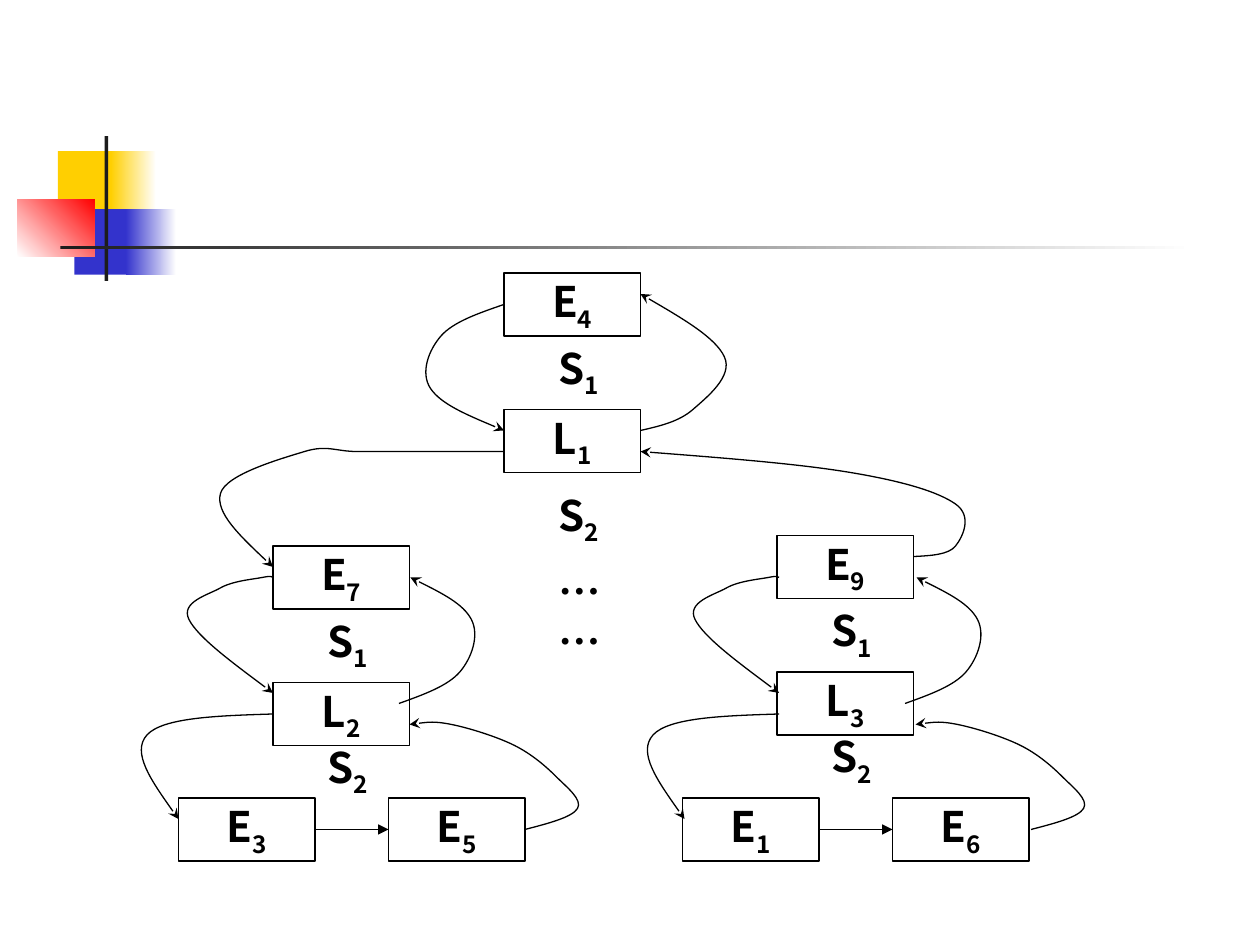
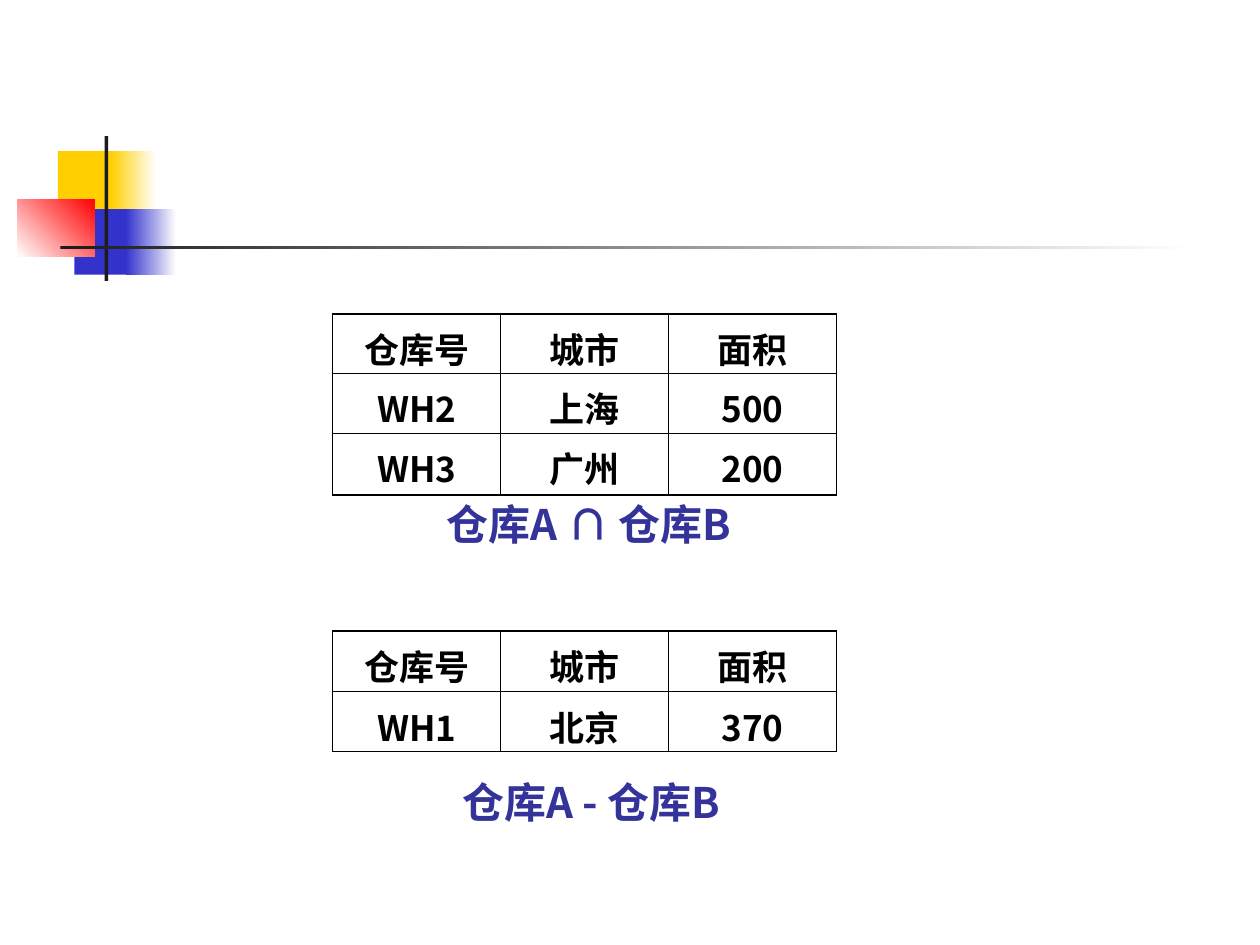
from lxml import etree
from pptx import Presentation
from pptx.dml.color import RGBColor
from pptx.enum.shapes import MSO_CONNECTOR as CONN, MSO_SHAPE as SHAPE
from pptx.enum.text import MSO_ANCHOR as ANCHOR, PP_ALIGN as ALIGN
from pptx.oxml.ns import qn
from pptx.util import Inches, Pt

rgb = RGBColor.from_string
U = Inches(1) // 12  # grid step: twelve to the inch
BLACK, WHITE, DARK, INDIGO = "000000", "FFFFFF", "1C1C1C", "333399"
YELLOW, BLUE, RED = "FFCF01", "3333CC", "FF0000"
SANS, SERIF = "Noto Sans CJK SC", "Times New Roman"


def write(tf, text, sub="", size=24, color=BLACK, font=SANS, align=ALIGN.CENTER):
    """Fill a text frame with one bold line, optionally ending in a subscript."""
    p = tf.paragraphs[0]
    p.alignment = align
    for part in filter(None, (text, sub)):
        r = p.add_run()
        r.text = part
        for key, value in {"name": font, "size": Pt(size), "bold": True}.items():
            setattr(r.font, key, value)
        r.font.color.rgb = rgb(color)
        rPr = r._r.get_or_add_rPr()
        etree.SubElement(rPr, qn("a:ea")).set("typeface", font)
        if part is sub:
            rPr.set("baseline", "-25000")


def outline(s, arrow=None):
    """Give a shape or connector a thin black line without shadow."""
    s.line.color.rgb = rgb(BLACK)
    s.line.width = Pt(0.75)
    if arrow:
        ln = s.element.xpath(".//a:ln")[0]
        etree.SubElement(ln, qn("a:tailEnd")).set("type", arrow)
    etree.SubElement(s.element.spPr, qn("a:effectLst"))


prs = Presentation()
prs.slide_width, prs.slide_height = Inches(10), Inches(7.5)
tree_slide, table_slide = [prs.slides.add_slide(prs.slide_layouts[6]) for _ in range(2)]
shapes = tree_slide.shapes

# Squares and rules shared through the slide master
motif = [
    # left, top, width, height, start colour, end colour, angle
    (0.46, 1.2, 0.48, 0.52, YELLOW, None, 0),
    (0.88, 1.2, 0.36, 0.52, YELLOW, WHITE, 0),
    (0.59, 1.66, 0.46, 0.52, BLUE, None, 0),
    (1, 1.66, 0.4, 0.52, BLUE, WHITE, 0),
    (0.14, 1.58, 0.61, 0.46, WHITE, RED, 45),
    (0.83, 1.08, 0.03, 1.15, DARK, None, 0),
    (0.48, 1.95, 9, 0.03, DARK, WHITE, 0),
]
for i, (*box, start, end, angle) in enumerate(motif):
    s = shapes.add_shape(SHAPE.RECTANGLE, *map(Inches, box))
    s.shadow.inherit = False
    s.line.fill.background()
    if end:
        s.fill.gradient()
        s.fill.gradient_angle = angle
        for stop, color in zip(s.fill.gradient_stops, (start, end)):
            stop.color.rgb = rgb(color)
    else:
        s.fill.solid()
        s.fill.fore_color.rgb = rgb(start)
    s.element.xpath(".//p:cNvPr")[0].set("id", str(100 + i))
    prs.slide_master.shapes.element.append(s.element)

# Slide 1: linked entries, placed in grid steps
NODE_W, NODE_H = 13, 6
nodes = [
    ("E", "4", 48, 26), ("L", "1", 48, 39),
    ("E", "7", 26, 52), ("L", "2", 26, 65),
    ("E", "9", 74, 51), ("L", "3", 74, 64),
    ("E", "3", 17, 76), ("E", "5", 37, 76),
    ("E", "1", 65, 76), ("E", "6", 85, 76),
]
for letter, index, x, y in nodes:
    s = shapes.add_shape(SHAPE.RECTANGLE, x * U, y * U, NODE_W * U, NODE_H * U)
    s.fill.background()
    outline(s)
    s.text_frame.word_wrap = False
    s.text_frame.vertical_anchor = ANCHOR.MIDDLE
    write(s.text_frame, letter, index)

labels = [
    ("S", "1", 52, 32), ("S", "2", 52, 46), ("……", "", 52, 52),
    ("S", "1", 30, 58), ("S", "2", 30, 70),
    ("S", "1", 78, 57), ("S", "2", 78, 69),
]
for text, index, x, y in labels:
    height = 6.7 if index else 10.8
    tf = shapes.add_textbox(x * U, y * U, 9 * U, int(height * U)).text_frame
    tf.word_wrap = True
    write(tf, text, index, font=SANS if index else SERIF, align=ALIGN.LEFT)

for x in (30, 78):
    s = shapes.add_connector(CONN.STRAIGHT, x * U, 79 * U, (x + 7) * U, 79 * U)
    outline(s, "triangle")

top_links = [
    [(48, 29), (42, 32), (41, 37), (48, 41)],
    [(61, 41), (66, 39), (69, 34), (61, 28)],
    [(48, 43), (41, 43), (34, 43), (29, 43), (21, 47), (26, 54)],
    [(87, 53), (91, 52), (91, 48), (81, 45), (61, 43)],
]
branch_links = [
    [(26, 55), (25, 55), (21, 56), (18, 59), (26, 66)],
    [(38, 67), (43.8, 64), (44.9, 59), (39.1, 55)],
    [(26, 68), (14, 70), (17, 78)],
    [(50, 79), (55, 77), (53, 74), (49, 71), (43, 69), (39, 69)],
]
BRANCH_STEP = 48.2
links = top_links + [
    [(x + dx, y) for x, y in link] for dx in (0, BRANCH_STEP) for link in branch_links
]
for knots in links:
    # Inner handles follow the neighbouring knots; end handles lie halfway
    before, after = {}, {}
    for i in range(1, len(knots) - 1):
        (x0, y0), (x, y), (x1, y1) = knots[i - 1:i + 2]
        dx, dy = (x1 - x0) / 6, (y1 - y0) / 6
        before[i], after[i] = (x - dx, y - dy), (x + dx, y + dy)
    last = len(knots) - 1
    after[0] = [(a + b) / 2 for a, b in zip(knots[0], before[1])]
    before[last] = [(a + b) / 2 for a, b in zip(knots[last], after[last - 1])]
    points = [knots[0]]
    for i in range(last):
        points += [after[i], before[i + 1], knots[i + 1]]
    points = [(int(x * U), int(y * U)) for x, y in points]

    builder = shapes.build_freeform(*points[0])
    builder.add_line_segments(points[1:], close=False)
    s = builder.convert_to_shape()
    path = s.element.xpath(".//a:path")[0]
    segments = path.findall(qn("a:lnTo"))
    for i in range(0, len(segments), 3):
        curve = etree.SubElement(path, qn("a:cubicBezTo"))
        for segment in segments[i:i + 3]:
            curve.append(segment[0])
            path.remove(segment)
    s.fill.background()
    outline(s, "stealth")

# Slide 2: warehouse tables with captions
HEADER = ["仓库号", "城市", "面积"]
tables = [
    (2.49, [0.47, 0.46, 0.49], [HEADER, ["WH2", "上海", "500"], ["WH3", "广州", "200"]]),
    (5.01, [0.48, 0.45], [HEADER, ["WH1", "北京", "370"]]),
]
THIN, THICK = Pt(0.45), Pt(1.08)
for top, heights, rows in tables:
    frame = table_slide.shapes.add_table(
        len(rows), 3, Inches(2.64), Inches(top), Inches(4), Inches(sum(heights)))
    table = frame.table
    table.first_row = table.horz_banding = False
    for row, height in zip(table.rows, heights):
        row.height = Inches(height)
    for i, row in enumerate(rows):
        for j, text in enumerate(row):
            cell = table.cell(i, j)
            cell.margin_top, cell.margin_bottom = Inches(0.07), 0
            write(cell.text_frame, text, size=20)
            thick = {"L": j == 0 and i > 0, "R": j == 2,
                     "T": i == 0, "B": i == len(rows) - 1}
            tcPr = cell._tc.get_or_add_tcPr()
            for side, heavy in thick.items():
                ln = etree.SubElement(tcPr, qn("a:ln" + side), w=str(THICK if heavy else THIN))
                fill = etree.SubElement(ln, qn("a:solidFill"))
                etree.SubElement(fill, qn("a:srgbClr"), val=BLACK)
            cell.fill.background()

captions = [
    ("仓库A ∩ 仓库B", 3.25, 3.91, 2.85, True),
    ("仓库A - 仓库B", 3.31, 6.11, 2.77, False),
]
for text, left, top, width, wrap in captions:
    tf = table_slide.shapes.add_textbox(*map(Inches, (left, top, width, 0.5))).text_frame
    tf.word_wrap = wrap
    write(tf, text, color=INDIGO)

prs.save("out.pptx")
